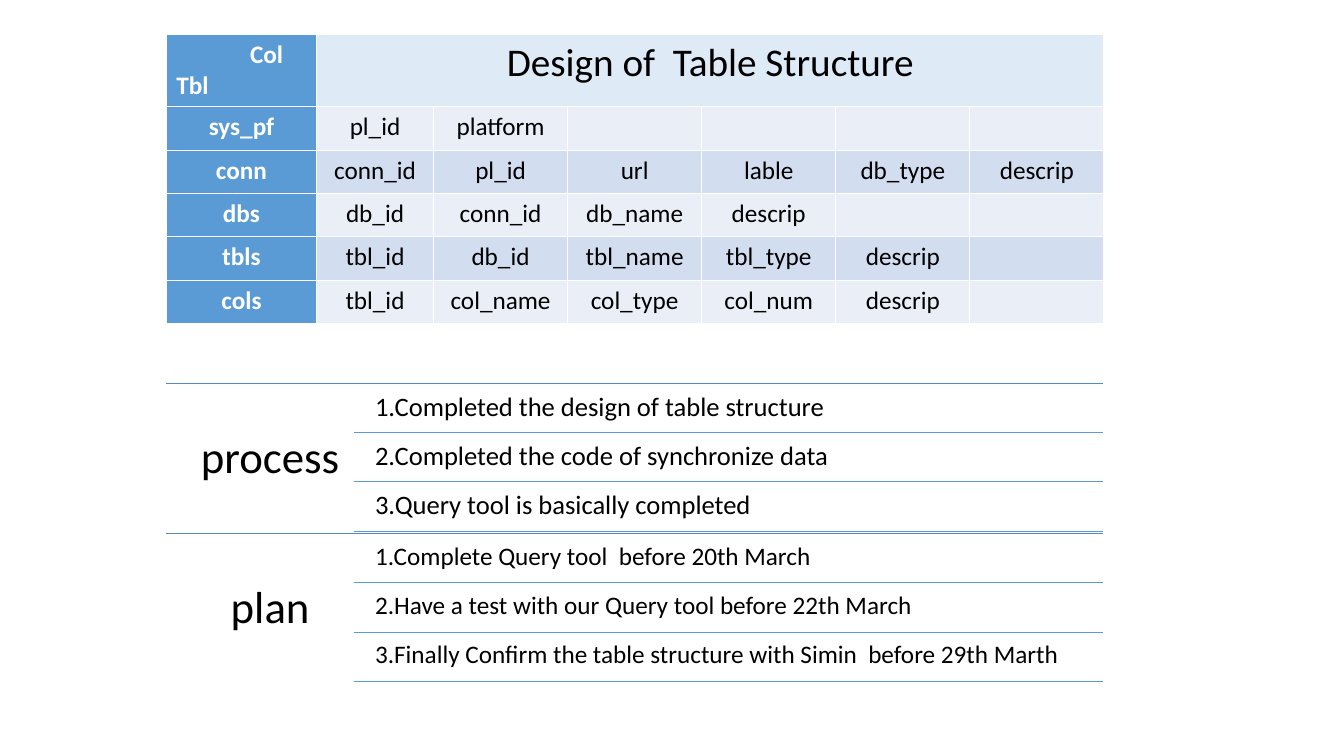
from lxml import etree
from pptx import Presentation
from pptx.dml.color import RGBColor
from pptx.enum.shapes import MSO_CONNECTOR
from pptx.enum.text import MSO_ANCHOR, PP_ALIGN
from pptx.oxml.ns import qn
from pptx.util import Inches, Pt

STRAIGHT = MSO_CONNECTOR.STRAIGHT
LEFT, CENTER = PP_ALIGN.LEFT, PP_ALIGN.CENTER
TOP, MIDDLE = MSO_ANCHOR.TOP, MSO_ANCHOR.MIDDLE
FONT = "Calibri"
BLACK, WHITE, BLUE, DARK_BLUE = "000000", "FFFFFF", "5B9BD5", "538DC1"
TITLE_FILL, BANDS = "DEEBF7", ("D2DEEF", "EAEFF7")
COLUMN_WIDTHS = [1.49, 1.16] + [1.33] * 5
ROW_HEIGHTS = [0.72] + [0.43] * 5
TABLES = [
    ["sys_pf", "pl_id", "platform"],
    ["conn", "conn_id", "pl_id", "url", "lable", "db_type", "descrip"],
    ["dbs", "db_id", "conn_id", "db_name", "descrip"],
    ["tbls", "tbl_id", "db_id", "tbl_name", "tbl_type", "descrip"],
    ["cols", "tbl_id", "col_name", "col_type", "col_num", "descrip"],
]
PROCESS = [
    "1.Completed the design of table structure",
    "2.Completed the code of synchronize data",
    "3.Query tool is basically completed",
]
PLAN = [
    "1.Complete Query tool  before 20th March",
    "2.Have a test with our Query tool before 22th March",
    "3.Finally Confirm the table structure with Simin  before 29th Marth",
]


def rgb(color):
    """Return the colour for a hex string."""
    return RGBColor.from_string(color)


def style_paragraph(p, size, color=BLACK, bold=False, align=CENTER):
    """Set the font and alignment of a paragraph."""
    p.alignment = align
    p.font.name, p.font.size, p.font.bold = FONT, Pt(size), bold
    p.font.color.rgb = rgb(color)


def fill_cell(cell, text, fill, size=18, color=BLACK, bold=False, align=CENTER):
    """Give a cell its text, fill and white borders."""
    cell.text = text
    for p in cell.text_frame.paragraphs:
        style_paragraph(p, size, color, bold, align)
    tc_pr = cell._tc.get_or_add_tcPr()
    for side in ("a:lnL", "a:lnR", "a:lnT", "a:lnB"):
        ln = etree.SubElement(tc_pr, qn(side), w=str(Pt(1)))
        solid = etree.SubElement(ln, qn("a:solidFill"))
        etree.SubElement(solid, qn("a:srgbClr"), val=WHITE)
    cell.fill.solid()
    cell.fill.fore_color.rgb = rgb(fill)


def add_grid(s, x, y, widths, heights):
    """Place an unstyled table with the given columns and rows."""
    table = s.shapes.add_table(
        len(heights), len(widths), Inches(x), Inches(y),
        Inches(sum(widths)), Inches(sum(heights))).table
    table.first_row = table.horz_banding = False
    for column, width in zip(table.columns, widths):
        column.width = Inches(width)
    for row, height in zip(table.rows, heights):
        row.height = Inches(height)
    return table


def add_structure_table(s, x, y):
    """Place the table of table names and their columns."""
    table = add_grid(s, x, y, COLUMN_WIDTHS, ROW_HEIGHTS)
    corner = table.cell(0, 0)
    fill_cell(corner, "Col\nTbl", BLUE, color=WHITE, bold=True, align=LEFT)
    corner.text_frame.paragraphs[0]._p.get_or_add_pPr().set("marL", str(Inches(0.73)))
    table.cell(0, 1).merge(table.cell(0, len(COLUMN_WIDTHS) - 1))
    fill_cell(table.cell(0, 1), "Design of  Table Structure", TITLE_FILL, size=28)

    for i, names in enumerate(TABLES, 1):
        fill_cell(table.cell(i, 0), names[0], BLUE, color=WHITE, bold=True)
        for j in range(1, len(COLUMN_WIDTHS)):
            text = names[j] if j < len(names) else ""
            fill_cell(table.cell(i, j), text, BANDS[i % 2])


def add_side_table(s, x, y):
    """Place the clear one-cell table beside the lists."""
    table = add_grid(s, x, y, [1.43], [0.4])
    table.cell(0, 0).fill.background()


def add_rule(s, x1, x2, y, color):
    """Draw a thin horizontal line."""
    line = s.shapes.add_connector(STRAIGHT, Inches(x1), Inches(y), Inches(x2), Inches(y))
    line.line.color.rgb = rgb(color)
    line.line.width = Pt(0.5)
    etree.SubElement(line._element.spPr, qn("a:effectLst"))


def add_text(s, x, y, w, h, text, size, anchor, align):
    """Place one paragraph in a text box."""
    box = s.shapes.add_textbox(Inches(x), Inches(y), Inches(w), Inches(h))
    tf = box.text_frame
    tf.word_wrap = True
    tf.vertical_anchor = anchor
    tf.margin_left = tf.margin_right = tf.margin_top = tf.margin_bottom = Inches(0.08)
    p = tf.paragraphs[0]
    p.text = text
    style_paragraph(p, size, align=align)
    return p


def add_section(s, x, y, w, label, items, size):
    """Place a labelled list with a line under each item."""
    add_rule(s, x, x + w, y, DARK_BLUE)
    pitch = 0.49
    for i, item in enumerate(items):
        top = y + i * pitch
        p = add_text(s, x + 1.99, top + 0.02, w - 1.99, 0.47, item, size, TOP, LEFT)
        p.line_spacing = 0.9
        add_rule(s, x + 1.86, x + w, top + pitch, BLUE)
    add_text(s, x + 0.23, y + 0.35, 1.6, 0.74, label, 32, MIDDLE, CENTER)


def main():
    """Build the slide and save it."""
    prs = Presentation()
    prs.slide_width, prs.slide_height = Inches(13.33), Inches(7.5)
    s = prs.slides.add_slide(prs.slide_layouts[6])
    add_structure_table(s, 1.65, 0.34)
    add_side_table(s, 0.58, 3.8)
    add_section(s, 1.65, 3.8, 9.29, "process", PROCESS, 19)
    add_section(s, 1.65, 5.29, 9.29, "plan", PLAN, 18)
    prs.save("out.pptx")


if __name__ == "__main__":
    main()
